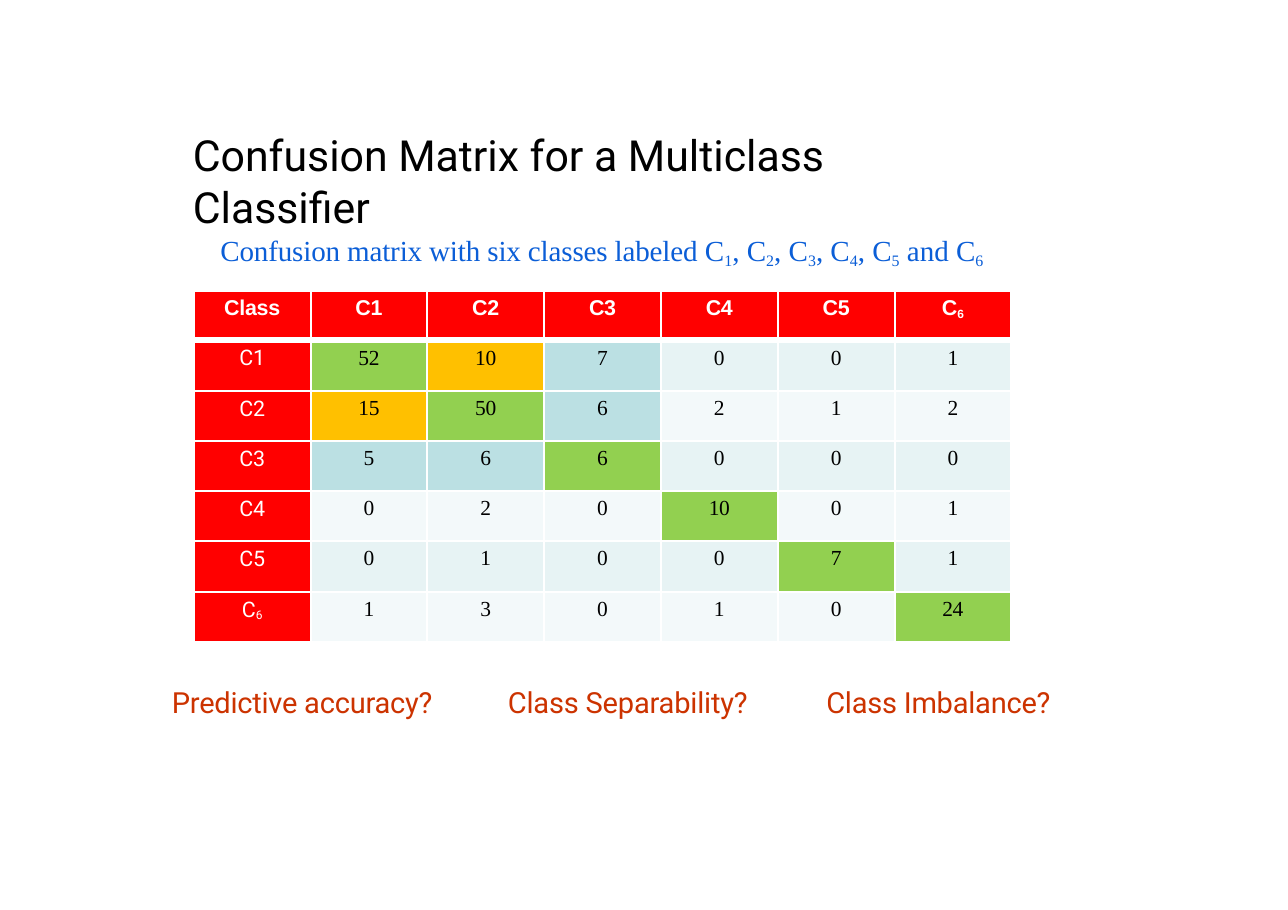
from lxml.etree import SubElement
from pptx import Presentation
from pptx.dml.color import RGBColor
from pptx.enum.text import MSO_ANCHOR, MSO_AUTO_SIZE, PP_ALIGN
from pptx.oxml.ns import qn
from pptx.util import Inches, Pt

BLACK = RGBColor(0x00, 0x00, 0x00)
WHITE = RGBColor(0xFF, 0xFF, 0xFF)
BLUE = RGBColor(0x0B, 0x5E, 0xD7)
RUST = RGBColor(0xCC, 0x33, 0x00)
RED = RGBColor(0xFF, 0x00, 0x00)
GREEN = RGBColor(0x92, 0xD0, 0x50)
AMBER = RGBColor(0xFF, 0xC0, 0x00)
TEAL = RGBColor(0xBB, 0xE0, 0xE3)
BANDS = (RGBColor(0xE7, 0xF3, 0xF4), RGBColor(0xF3, 0xF9, 0xFA))

SANS, SERIF, HEADER = "Roboto", "Times New Roman", "Arial"
CLASSES = ["C1", "C2", "C3", "C4", "C5", "C6"]
COUNTS = [
    [52, 10, 7, 0, 0, 1],
    [15, 50, 6, 2, 1, 2],
    [5, 6, 6, 0, 0, 0],
    [0, 2, 0, 10, 0, 1],
    [0, 1, 0, 0, 7, 1],
    [1, 3, 0, 1, 0, 24],
]
QUESTIONS = [
    ("Predictive accuracy?", 1.55, 2.42, -0.15),
    ("Class Separability?", 4.6, 2.25, -0.1),
    ("Class Imbalance?", 7.49, 2.09, -0.15),
]


def add_run(paragraph, text, font, size, color, bold=False, spacing=0, baseline=0):
    """Add one run; spacing is in points, baseline in percent."""
    run = paragraph.add_run()
    run.text = text
    run.font.name, run.font.size, run.font.bold = font, Pt(size), bold
    run.font.color.rgb = color
    properties = run.font._element
    if spacing:
        properties.set("spc", str(round(spacing * 100)))
    if baseline:
        properties.set("baseline", str(baseline * 1000))


def set_frame(frame, left=0.0, top=0.01):
    """Set margins in inches, wrap at the box and return the first paragraph."""
    frame.word_wrap = True
    frame.auto_size = MSO_AUTO_SIZE.NONE
    frame.vertical_anchor = MSO_ANCHOR.TOP
    frame.margin_left, frame.margin_top = Inches(left), Inches(top)
    frame.margin_right = frame.margin_bottom = 0
    paragraph = frame.paragraphs[0]
    paragraph.alignment = PP_ALIGN.LEFT
    paragraph.space_before = Pt(1)
    return paragraph


def place_title(slide, left, top, width, height):
    title = slide.shapes.title
    title.left, title.top = Inches(left), Inches(top)
    title.width, title.height = Inches(width), Inches(height)
    paragraph = set_frame(title.text_frame, left=0.74, top=0.79)
    add_run(paragraph, "Confusion Matrix for a Multiclass Classifier", SANS, 28, BLACK)


def add_text_box(slide, left, top, width, height, indent):
    box = slide.shapes.add_textbox(
        Inches(left), Inches(top), Inches(width), Inches(height))
    return set_frame(box.text_frame, left=indent)


def add_subtitle(slide, left, top, width, height):
    paragraph = add_text_box(slide, left, top, width, height, 0.04)
    lead = "Confusion matrix with six classes labeled "
    add_run(paragraph, lead, SERIF, 19, BLUE, spacing=-0.08)
    separators = [", "] * 4 + [" and ", ""]
    for name, separator in zip(CLASSES, separators):
        add_run(paragraph, name[0], SERIF, 19, BLUE)
        add_run(paragraph, name[1], SERIF, 18, BLUE, baseline=-19)
        if separator:
            add_run(paragraph, separator, SERIF, 19, BLUE)


def format_cell(cell, fill, space_before, top_border=1.5, bottom_border=1.5):
    """Set borders, fill and margins; return the cell's paragraph."""
    properties = cell._tc.get_or_add_tcPr()
    borders = {"L": 1.5, "R": 1.5, "T": top_border, "B": bottom_border}
    for side, points in borders.items():
        line = SubElement(properties, qn(f"a:ln{side}"), w=str(Pt(points)))
        SubElement(SubElement(line, qn("a:solidFill")), qn("a:srgbClr"), val=str(WHITE))
    cell.fill.solid()
    cell.fill.fore_color.rgb = fill
    cell.margin_left = cell.margin_right = cell.margin_bottom = 0
    cell.margin_top = Inches(0.05)
    paragraph = cell.text_frame.paragraphs[0]
    paragraph.alignment = PP_ALIGN.CENTER
    paragraph.space_before = Pt(space_before)
    return paragraph


def add_class_label(paragraph, name, font, bold=False):
    """Write a class name; the last class carries a subscript."""
    if name == CLASSES[-1]:
        add_run(paragraph, name[0], font, 14, WHITE, bold, spacing=-0.2)
        add_run(paragraph, name[1], font, 13.5, WHITE, bold, -0.4, baseline=-12)
    else:
        add_run(paragraph, name, font, 14, WHITE, bold, spacing=-0.2)


def count_fill(row, column):
    """Green for hits, amber for C1/C2 mix-ups, teal for other C1-C3 mix-ups."""
    if row == column:
        return GREEN
    if max(row, column) == 1:
        return AMBER
    if max(row, column) == 2:
        return TEAL
    return BANDS[row % 2]


def add_matrix(slide, left, top, width, header_height, row_height):
    size = len(CLASSES) + 1
    height = header_height + row_height * len(CLASSES)
    matrix = slide.shapes.add_table(
        size, size, Inches(left), Inches(top), Inches(width), Inches(height)).table
    for column in matrix.columns:
        column.width = Inches(width / size)
    for index, row in enumerate(matrix.rows):
        row.height = Inches(row_height if index else header_height)

    for column, name in enumerate(["Class"] + CLASSES):
        paragraph = format_cell(matrix.cell(0, column), RED, 3.8, bottom_border=4.5)
        add_class_label(paragraph, name, HEADER, bold=True)

    for row, (name, counts) in enumerate(zip(CLASSES, COUNTS)):
        top_border = 1.5 if row else 4.5
        paragraph = format_cell(matrix.cell(row + 1, 0), RED, 3.7, top_border)
        add_class_label(paragraph, name, SANS)
        for column, count in enumerate(counts):
            cell = matrix.cell(row + 1, column + 1)
            paragraph = format_cell(cell, count_fill(row, column), 3.7, top_border)
            spacing = -0.2 if count > 9 else -0.5
            add_run(paragraph, str(count), SERIF, 14, BLACK, spacing=spacing)


def add_questions(slide, top, height):
    for question, left, width, spacing in QUESTIONS:
        paragraph = add_text_box(slide, left, top, width, height, 0.01)
        add_run(paragraph, question, SANS, 19, RUST, spacing=spacing)


def main():
    presentation = Presentation()
    presentation.slide_width, presentation.slide_height = Inches(11.69), Inches(8.26)
    slide = presentation.slides.add_slide(presentation.slide_layouts[5])
    place_title(slide, 1.01, 0.38, 8.06, 1.47)
    add_subtitle(slide, 1.96, 2.1, 7.02, 0.35)
    add_matrix(slide, 1.76, 2.64, 7.42, 0.45, 0.456)
    add_questions(slide, 6.2, 0.35)
    presentation.save("out.pptx")


if __name__ == "__main__":
    main()
